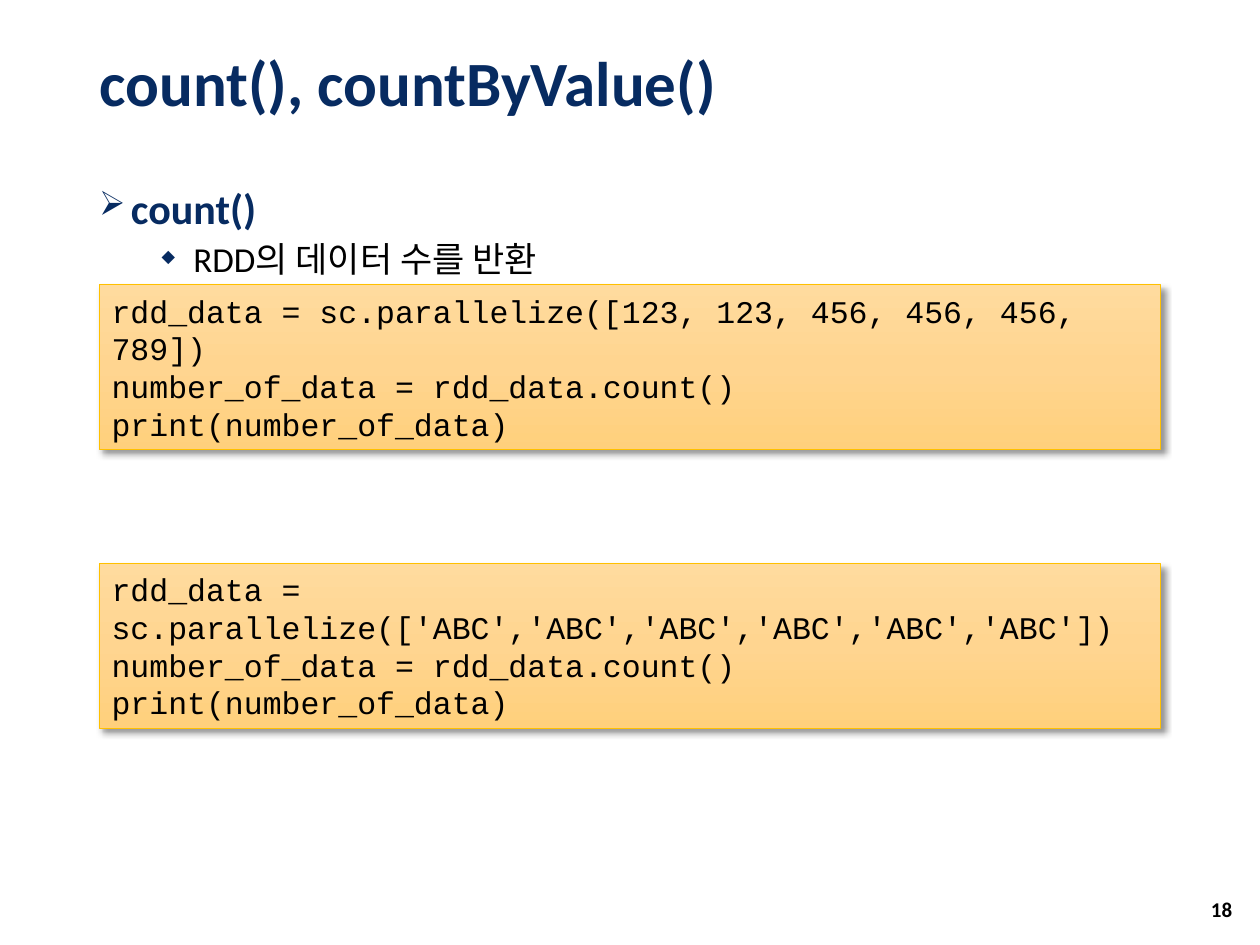
from dataclasses import dataclass
from typing import Optional

from lxml.etree import SubElement
from pptx import Presentation
from pptx.dml.color import RGBColor
from pptx.enum.shapes import MSO_SHAPE as Shape
from pptx.enum.text import MSO_ANCHOR as Anchor, MSO_AUTO_SIZE as AutoSize, PP_ALIGN as Align
from pptx.oxml.ns import qn
from pptx.util import Cm, Pt

NAVY, BLACK, AMBER = "072B61", "000000", "FFC000"
CODE_GRADIENT = ((0, "FFDB9E"), (50, "FFD590"), (100, "FFD07C"))


@dataclass(frozen=True)
class Bullet:
    char: str
    percent: int
    margin: float  # cm
    hanging: float = 0.64  # cm


@dataclass(frozen=True)
class CodeBox:
    top: float  # cm
    lines: tuple[str, ...]


CODE_TAIL = ("number_of_data = rdd_data.count()", "print(number_of_data)")
CODE_BOXES = (
    CodeBox(5.74, ("rdd_data = sc.parallelize([123, 123, 456, 456, 456, 789])", *CODE_TAIL)),
    CodeBox(11.35, ("rdd_data = sc.parallelize(['ABC','ABC','ABC','ABC','ABC','ABC'])", *CODE_TAIL)),
)


def rgb(value: str) -> RGBColor:
    return RGBColor.from_string(value)


def add_xml(parent, tag: str, **attributes):
    return SubElement(parent, qn(tag), {key: str(value) for key, value in attributes.items()})


def add_color(parent, value: str):
    return add_xml(parent, "a:srgbClr", val=value)


def write(paragraph, text: str, *, size: float, color: str = BLACK, font: str = "Calibri",
          bold: bool = False, align=Align.LEFT, line_spacing: float = 1.0,
          before: float = 0, bullet: Optional[Bullet] = None) -> None:
    paragraph.alignment = align
    paragraph.line_spacing = line_spacing
    paragraph.space_before = Pt(before)
    if bullet:
        properties = paragraph._p.get_or_add_pPr()
        properties.set("marL", str(Cm(bullet.margin)))
        properties.set("indent", str(-Cm(bullet.hanging)))
        add_color(add_xml(properties, "a:buClr"), NAVY)
        add_xml(properties, "a:buSzPct", val=bullet.percent * 1000)
        add_xml(properties, "a:buChar", char=bullet.char)
    run = paragraph.add_run()
    run.text = text
    run.font.size = Pt(size)
    run.font.name = font
    run.font.bold = bold
    run.font.color.rgb = rgb(color)


def prepare_frame(shape, anchor=Anchor.MIDDLE):
    frame = shape.text_frame
    frame.word_wrap = True
    frame.auto_size = AutoSize.NONE
    frame.vertical_anchor = anchor
    return frame


def fill_gradient(shape, stops) -> None:
    shape.fill.gradient()
    shape.fill.gradient_angle = 270
    stop_list = shape._element.spPr.find(".//" + qn("a:gsLst"))
    stop_list.clear()
    for position, color in stops:
        add_color(add_xml(stop_list, "a:gs", pos=position * 1000), color)


def cast_shadow(shape) -> None:
    shape.shadow.inherit = False
    effects = shape._element.spPr.find(qn("a:effectLst"))
    shadow = add_xml(effects, "a:outerShdw", blurRad=Pt(4), dist=Pt(3),
                     dir=45 * 60000, algn="tl", rotWithShape=0)
    add_xml(add_color(shadow, BLACK), "a:alpha", val=40000)


def add_code_box(slide, box: CodeBox) -> None:
    panel = slide.shapes.add_shape(Shape.RECTANGLE, Cm(2), Cm(box.top), Cm(21.39), Cm(3.33))
    fill_gradient(panel, CODE_GRADIENT)
    panel.line.color.rgb = rgb(AMBER)
    panel.line.width = Pt(0.5)
    cast_shadow(panel)
    frame = prepare_frame(panel)
    for index, line in enumerate(box.lines):
        paragraph = frame.add_paragraph() if index else frame.paragraphs[0]
        write(paragraph, line, size=18, font="Courier New")


def main() -> None:
    deck = Presentation()
    deck.slide_width, deck.slide_height = Cm(25.4), Cm(19.05)
    slide = deck.slides.add_slide(deck.slide_layouts[5])

    title = slide.shapes.title
    title.left, title.top, title.width, title.height = Cm(1.75), Cm(0.46), Cm(21.89), Cm(2.57)
    write(prepare_frame(title).paragraphs[0], "count(), countByValue()",
          size=36, color=NAVY, bold=True, line_spacing=0.9)

    outline = slide.shapes.add_textbox(Cm(1.75), Cm(3.66), Cm(21.89), Cm(13.82))
    outline_frame = prepare_frame(outline, Anchor.TOP)
    write(outline_frame.paragraphs[0], "count()", size=24, color=NAVY, bold=True,
          line_spacing=0.9, bullet=Bullet("➢", 80, 0.64))
    detail = outline_frame.add_paragraph()
    detail.level = 1
    write(detail, "RDD의 데이터 수를 반환", size=20, line_spacing=0.9, before=5,
          bullet=Bullet("◆", 50, 1.9))

    page_number = slide.shapes.add_textbox(Cm(23.77), Cm(17.81), Cm(1.32), Cm(1.02))
    write(prepare_frame(page_number).paragraphs[0], "18", size=12, bold=True, align=Align.RIGHT)

    for box in CODE_BOXES:
        add_code_box(slide, box)

    deck.save("out.pptx")


if __name__ == "__main__":
    main()
